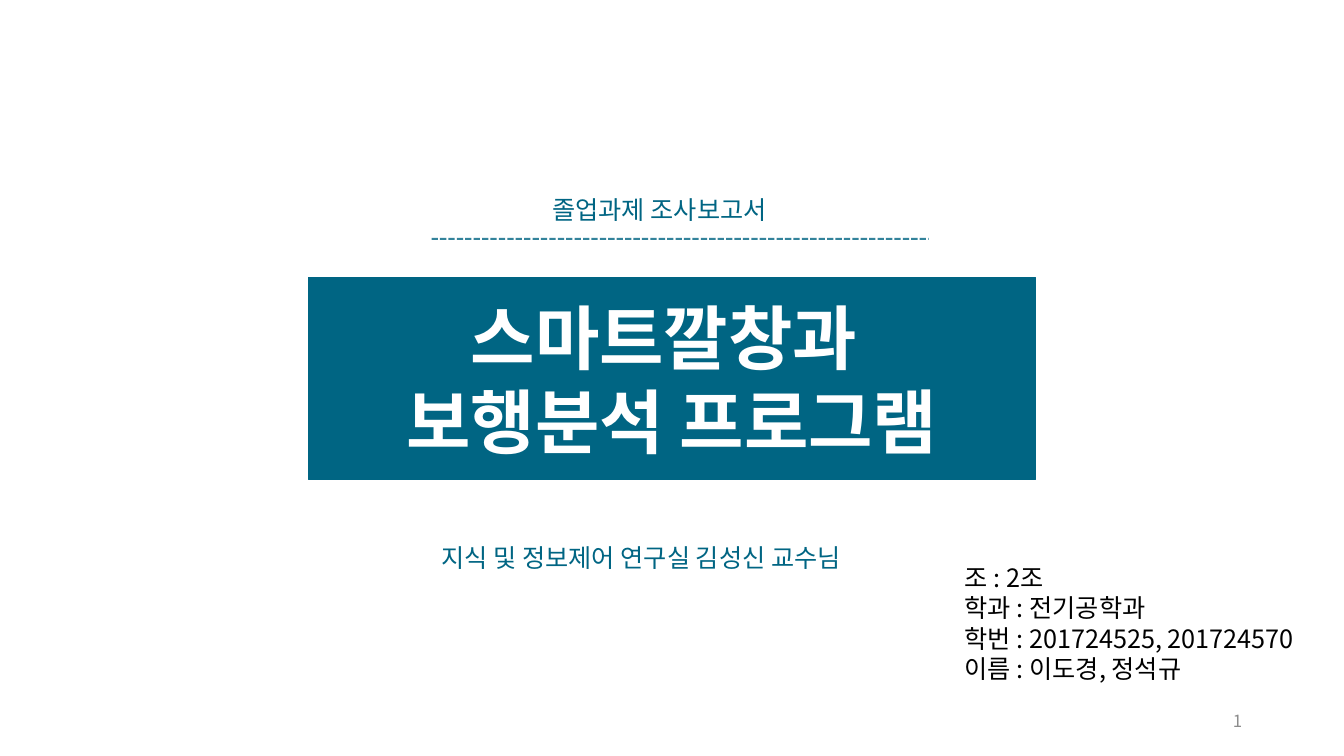
from lxml import etree
from pptx import Presentation
from pptx.dml.color import RGBColor
from pptx.enum.dml import MSO_LINE
from pptx.enum.shapes import MSO_CONNECTOR
from pptx.enum.text import MSO_ANCHOR, MSO_AUTO_SIZE, PP_ALIGN
from pptx.oxml.ns import qn
from pptx.util import Inches, Pt

TEAL = RGBColor(0x00, 0x65, 0x83)
WHITE = RGBColor(0xFF, 0xFF, 0xFF)
BLACK = RGBColor(0x00, 0x00, 0x00)
GRAY = RGBColor(0x8C, 0x8C, 0x8C)
FONT = "Noto Sans CJK KR"


def write(sp, *lines, size=18, color=TEAL, bold=False, align=PP_ALIGN.LEFT,
          anchor=MSO_ANCHOR.TOP, wrap=True, fit=MSO_AUTO_SIZE.SHAPE_TO_FIT_TEXT):
    tf = sp.text_frame
    tf.word_wrap = wrap
    tf.auto_size = fit
    tf.vertical_anchor = anchor
    for i, line in enumerate(lines):
        p = tf.paragraphs[0] if i == 0 else tf.add_paragraph()
        p.alignment = align
        r = p.add_run()
        r.text = line
        r.font.name = FONT
        r.font.size = Pt(size)
        r.font.bold = bold
        r.font.color.rgb = color
        ea = etree.SubElement(r.font._element, qn("a:ea"))
        ea.set("typeface", FONT)


prs = Presentation()
prs.slide_width, prs.slide_height = Inches(13.33), Inches(7.5)
s = prs.slides.add_slide(prs.slide_layouts[5])

title = s.shapes.title
title.left, title.top = Inches(3.06), Inches(2.75)
title.width, title.height = Inches(7.21), Inches(2.01)
title.fill.solid()
title.fill.fore_color.rgb = TEAL
title.line.color.rgb = TEAL
title.line.width = Pt(1)
write(title, "스마트깔창과 ", "보행분석 프로그램", size=50, color=WHITE, bold=True,
      align=PP_ALIGN.CENTER, anchor=MSO_ANCHOR.MIDDLE, fit=MSO_AUTO_SIZE.NONE)

rule = s.shapes.add_connector(MSO_CONNECTOR.STRAIGHT, Inches(4.28), Inches(2.37),
                              Inches(9.21), Inches(2.37))
rule.line.color.rgb = TEAL
rule.line.width = Pt(1.5)
rule.line.dash_style = MSO_LINE.SQUARE_DOT
color = rule.line._ln.find(".//" + qn("a:srgbClr"))
etree.SubElement(color, qn("a:alpha")).set("val", "80000")
etree.SubElement(rule._element.spPr, qn("a:effectLst"))

professor = s.shapes.add_textbox(Inches(4.28), Inches(5.33), Inches(4.78), Inches(0.4))
write(professor, "지식 및 정보제어 연구실 김성신 교수님", wrap=False)

team = s.shapes.add_textbox(Inches(9.47), Inches(5.53), Inches(3.68), Inches(1.31))
write(team, "조 : 2조", "학과 : 전기공학과", "학번 : 201724525, 201724570",
      "이름 : 이도경, 정석규", color=BLACK)

report = s.shapes.add_textbox(Inches(5.38), Inches(1.88), Inches(2.56), Inches(0.4))
write(report, "졸업과제 조사보고서", wrap=False)

number = s.shapes.add_textbox(Inches(9.42), Inches(6.95), Inches(3), Inches(0.4))
write(number, "1", size=12, color=GRAY, align=PP_ALIGN.RIGHT,
      anchor=MSO_ANCHOR.MIDDLE, fit=MSO_AUTO_SIZE.NONE)

prs.save("out.pptx")
